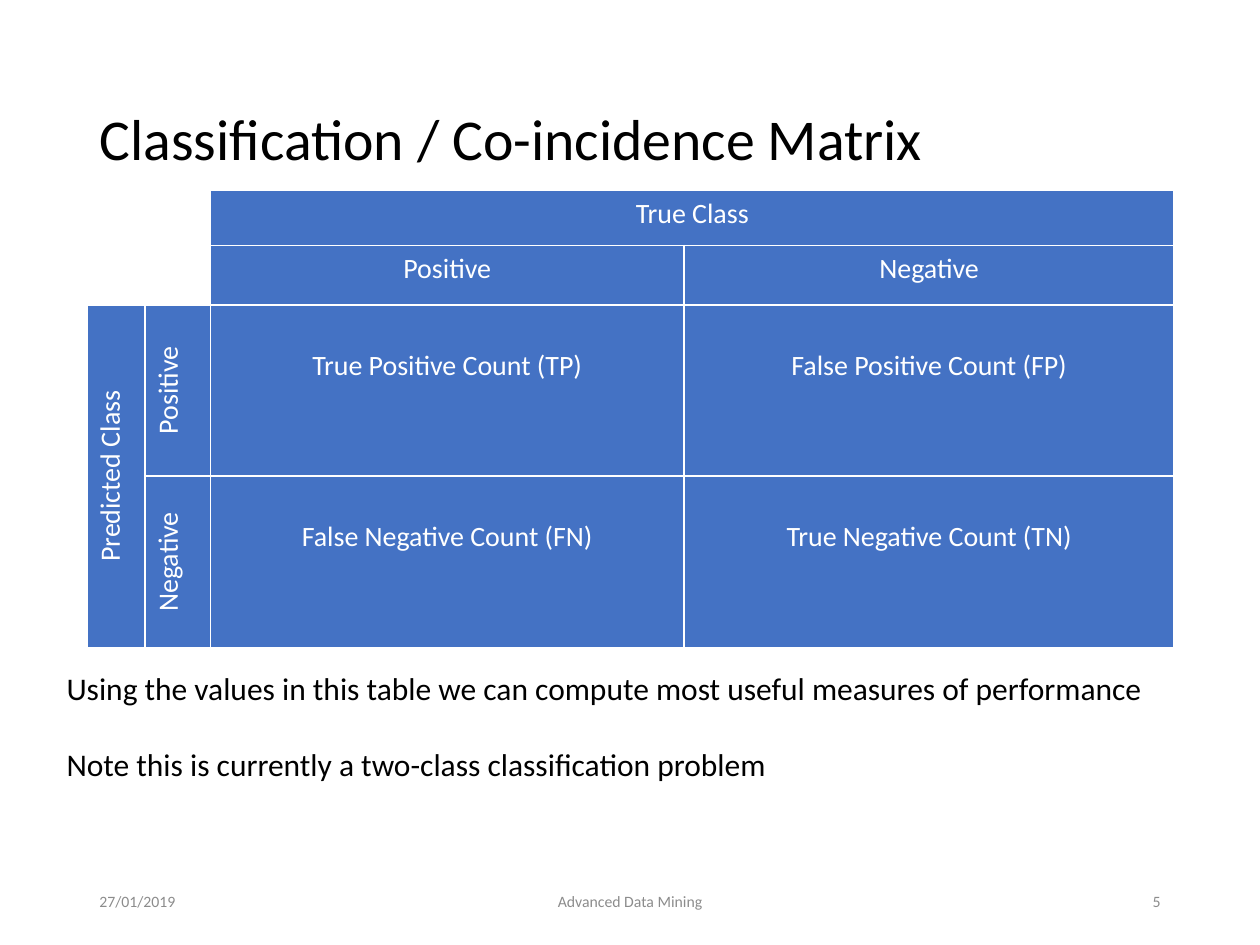
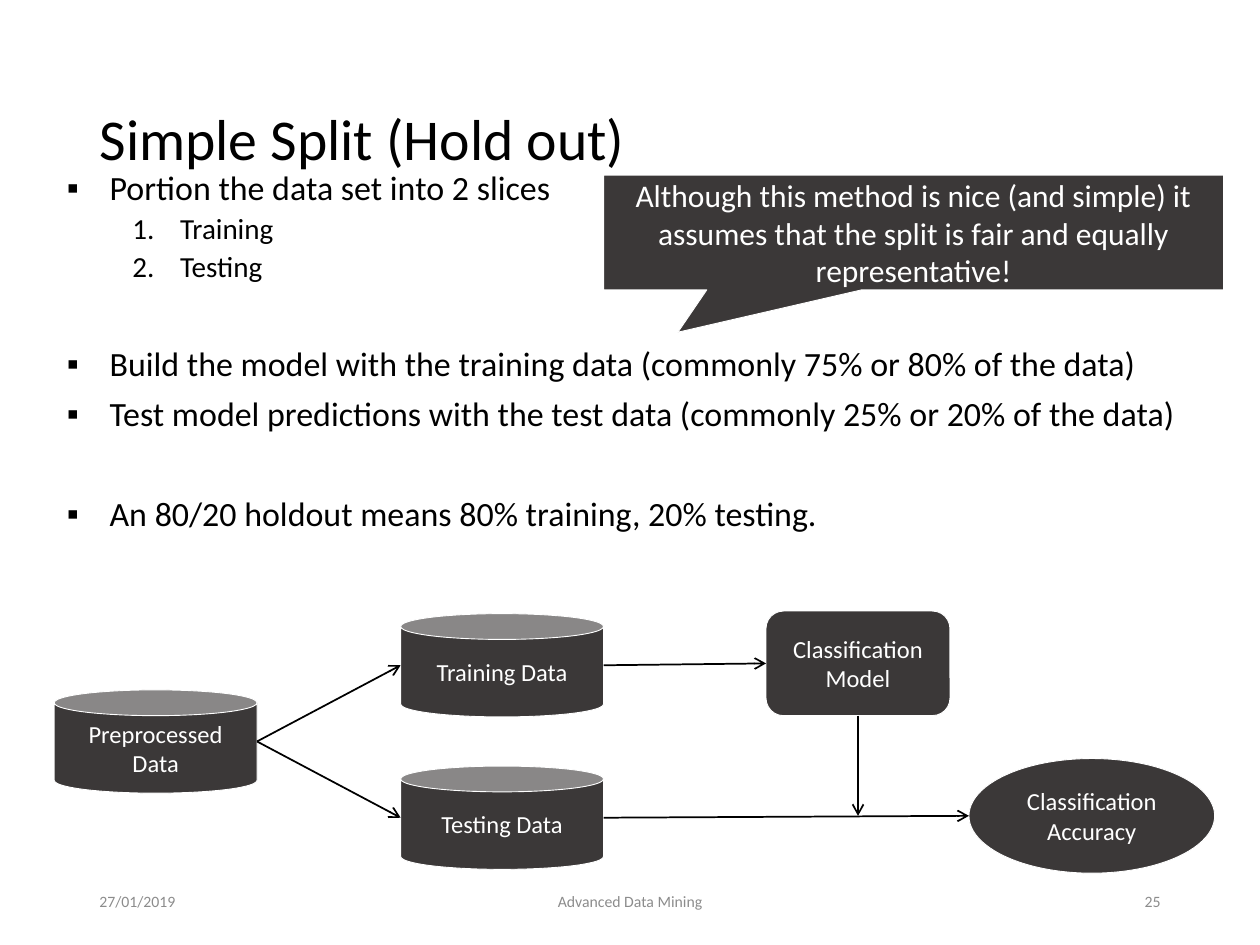
from dataclasses import dataclass

from lxml.etree import SubElement
from pptx import Presentation
from pptx.dml.color import RGBColor
from pptx.enum.shapes import MSO_CONNECTOR as Connector, MSO_SHAPE as Shape
from pptx.enum.text import MSO_ANCHOR as Anchor, MSO_AUTO_SIZE as AutoSize, PP_ALIGN as Align
from pptx.oxml.ns import qn
from pptx.util import Inches, Pt

SLIDE_WIDTH, SLIDE_HEIGHT = Inches(10), Inches(7.5)
COLUMN, ROW = SLIDE_WIDTH / 100, SLIDE_HEIGHT / 75
FONT = "Calibri"
COLORS = {
    "ink": "000000",
    "paper": "FFFFFF",
    "matrix": "4472C4",
    "stage": "3B3838",
    "footer": "8C8C8C",
}


@dataclass
class Box:
    left: float
    top: float
    width: float
    height: float

    def inner(self, left, top, width, height):
        return Box(self.left + left, self.top + top, width, height)

    def emu(self):
        return (round(self.left * COLUMN), round(self.top * ROW),
                round(self.width * COLUMN), round(self.height * ROW))


TITLE = Box(6.9, 4, 86.2, 14.5)
FOOTER = Box(6.9, 69.5, 86.2, 4)
MATRIX = Box(6.9, 15.1, 86.3, 36.4)
REMARKS = Box(4.3, 52.6, 91.4, 10.1)
STEPS = Box(4.3, 13.1, 91.4, 34.8)
CAVEAT = Box(47.9, 13.9, 49.2, 9.1)
FLOW = Box(4.3, 48.5, 92.1, 20.8)


def color(name):
    return RGBColor.from_string(COLORS[name])


def write(frame, text, size=18, ink="ink", align=Align.LEFT, anchor=Anchor.TOP,
          before=0, spacing=None, level=0, indent=None, bullet=None):
    frame.word_wrap = True
    frame.vertical_anchor = anchor
    paragraph = frame.paragraphs[0]
    if paragraph.runs:
        paragraph = frame.add_paragraph()
        paragraph.space_before = Pt(before)
    else:
        paragraph.space_before = Pt(0)
    paragraph.alignment = align
    paragraph.level = level
    if spacing:
        paragraph.line_spacing = spacing
    if bullet:
        properties = paragraph._p.get_or_add_pPr()
        margin, hanging = indent
        properties.set("marL", str(Inches(margin)))
        properties.set("indent", str(-Inches(hanging)))
        tag, attribute, value = bullet
        SubElement(properties, qn(tag)).set(attribute, value)
    run = paragraph.add_run()
    run.text = text
    run.font.size = Pt(size)
    run.font.name = FONT
    run.font.color.rgb = color(ink)


def place(placeholder, box):
    placeholder.left, placeholder.top, placeholder.width, placeholder.height = box.emu()
    placeholder.text_frame.auto_size = AutoSize.NONE
    return placeholder.text_frame


def add_footer(slide, box, number):
    parts = [
        (0, 22.5, "27/01/2019", Align.LEFT),
        (26.2, 33.8, "Advanced Data Mining", Align.CENTER),
        (63.7, 22.5, number, Align.RIGHT),
    ]
    for left, width, text, align in parts:
        label = slide.shapes.add_textbox(*box.inner(left, 0, width, box.height).emu())
        write(label.text_frame, text, size=9, ink="footer", align=align, anchor=Anchor.MIDDLE)


def add_slide(deck, layout, title, number):
    slide = deck.slides.add_slide(deck.slide_layouts.get_by_name(layout))
    write(place(slide.shapes.title, TITLE), title, size=33, anchor=Anchor.MIDDLE, spacing=0.9)
    add_footer(slide, FOOTER, number)
    return slide


def format_cell(cell, fill):
    properties = cell._tc.get_or_add_tcPr()
    for side in ("L", "R", "T", "B"):
        border = SubElement(properties, qn(f"a:ln{side}"), w=str(Pt(1)))
        paint = SubElement(border, qn("a:solidFill"))
        SubElement(paint, qn("a:srgbClr"), val=COLORS["paper"])
    cell.fill.solid()
    cell.fill.fore_color.rgb = color(fill)


def add_matrix(slide, box):
    widths, heights = (4.6, 5.2, 37.6, 38.9), (4.4, 4.7, 13.6, 13.6)
    matrix = slide.shapes.add_table(len(heights), len(widths), *box.emu()).table
    matrix.first_row = matrix.horz_banding = False
    for column, width in zip(matrix.columns, widths):
        column.width = round(width * COLUMN)
    for row, height in zip(matrix.rows, heights):
        row.height = round(height * ROW)
    for row in range(len(heights)):
        for column in range(len(widths)):
            corner = row < 2 and column < 2
            format_cell(matrix.cell(row, column), "paper" if corner else "matrix")
    for start, end in (((0, 0), (1, 1)), ((0, 2), (0, 3)), ((2, 0), (3, 0))):
        matrix.cell(*start).merge(matrix.cell(*end))

    entries = {
        (0, 2): "True Class",
        (1, 2): "Positive",
        (1, 3): "Negative",
        (2, 0): "Predicted Class",
        (2, 1): "Positive",
        (3, 1): "Negative",
        (2, 2): "True Positive Count (TP)",
        (2, 3): "False Positive Count (FP)",
        (3, 2): "False Negative Count (FN)",
        (3, 3): "True Negative Count (TN)",
    }
    for (row, column), text in entries.items():
        cell = matrix.cell(row, column)
        is_count = row > 1 and column > 1
        cell.margin_left = cell.margin_right = Inches(0.09)
        cell.margin_top = Inches(0.35 if is_count else 0.05)
        cell.margin_bottom = Inches(0.05)
        if column < 2:
            cell._tc.get_or_add_tcPr().set("vert", "vert270")
        write(cell.text_frame, text, size=16, ink="paper", align=Align.CENTER)


def add_remarks(slide, box):
    frame = slide.shapes.add_textbox(*box.emu()).text_frame
    write(frame, "Using the values in this table we can compute most useful measures of performance")
    write(frame, "Note this is currently a two-class classification problem", before=22)


def add_steps(slide, box):
    frame = place(slide.placeholders[1], box)
    point = dict(size=19.4, spacing=0.9, indent=(0.34, 0.34), bullet=("a:buChar", "char", "▪"))
    slice_name = dict(size=16.6, spacing=0.9, indent=(0.9, 0.38), level=1, before=3.8,
                      bullet=("a:buAutoNum", "type", "arabicPeriod"))
    near, far = 7.5, 36.3
    write(frame, "Portion the data set into 2 slices", **point)
    write(frame, "Training", **slice_name)
    write(frame, "Testing", **slice_name)
    write(frame, "Build the model with the training data (commonly 75% or 80% of the data)",
          before=far, **point)
    write(frame, "Test model predictions with the test data (commonly 25% or 20% of the data)",
          before=near, **point)
    write(frame, "An 80/20 holdout means 80% training, 20% testing.", before=far, **point)


def add_stage(slide, kind, box, text, size=14):
    stage = slide.shapes.add_shape(kind, *box.emu())
    stage.shadow.inherit = False
    stage.fill.solid()
    stage.fill.fore_color.rgb = color("stage")
    stage.line.color.rgb = color("paper")
    stage.line.width = Pt(0.5)
    write(stage.text_frame, text, size=size, ink="paper", align=Align.CENTER, anchor=Anchor.MIDDLE)
    return stage


def side(stage, across, down):
    return (round(stage.left + across * stage.width), round(stage.top + down * stage.height))


def add_arrow(slide, start, end):
    arrow = slide.shapes.add_connector(Connector.STRAIGHT, *start, *end)
    arrow.line.color.rgb = color("ink")
    arrow.line.width = Pt(1)
    SubElement(arrow.line._get_or_add_ln(), qn("a:tailEnd"), type="arrow")
    SubElement(arrow._element.spPr, qn("a:effectLst"))
    return arrow


def add_flow(slide, box):
    can_width, can_height, train_top, test_top = 16.1, 8.2, 0.2, 12.3

    def add_store(left, top, text):
        return add_stage(slide, Shape.CAN, box.inner(left, top, can_width, can_height), text)

    source = add_store(0, (train_top + test_top) / 2, "Preprocessed Data")
    training = add_store(27.5, train_top, "Training Data")
    testing = add_store(27.5, test_top, "Testing Data")
    model = add_stage(slide, Shape.ROUNDED_RECTANGLE, box.inner(56.5, 0, 14.6, 8.3),
                      "Classification Model")
    accuracy = add_stage(slide, Shape.OVAL, box.inner(72.6, 11.7, 19.5, 9.1),
                         "Classification Accuracy")

    for start, end in ((source, training), (source, testing), (training, model),
                       (testing, accuracy)):
        arrow = add_arrow(slide, side(start, 1, 0.5), side(end, 0, 0.5))
        if end is model:
            arrow.end_connect(model, 1)
    model_foot = side(model, 0.5, 1)
    applied = add_arrow(slide, model_foot, (model_foot[0], side(accuracy, 0, 0.5)[1]))
    applied.begin_connect(model, 2)


def add_caveat(slide, box):
    caveat = add_stage(slide, Shape.RECTANGULAR_CALLOUT, box,
                       "Although this method is nice (and simple) it assumes that "
                       "the split is fair and equally representative!", size=18)
    caveat.adjustments[0], caveat.adjustments[1] = -0.38, 0.87


def add_matrix_slide(deck):
    slide = add_slide(deck, "Title Only", "Classification / Co-incidence Matrix", "5")
    add_matrix(slide, MATRIX)
    add_remarks(slide, REMARKS)


def add_split_slide(deck):
    slide = add_slide(deck, "Title and Content", "Simple Split (Hold out)", "25")
    add_steps(slide, STEPS)
    add_flow(slide, FLOW)
    add_caveat(slide, CAVEAT)


def main():
    deck = Presentation()
    deck.slide_width, deck.slide_height = SLIDE_WIDTH, SLIDE_HEIGHT
    add_matrix_slide(deck)
    add_split_slide(deck)
    deck.save("out.pptx")


if __name__ == "__main__":
    main()
